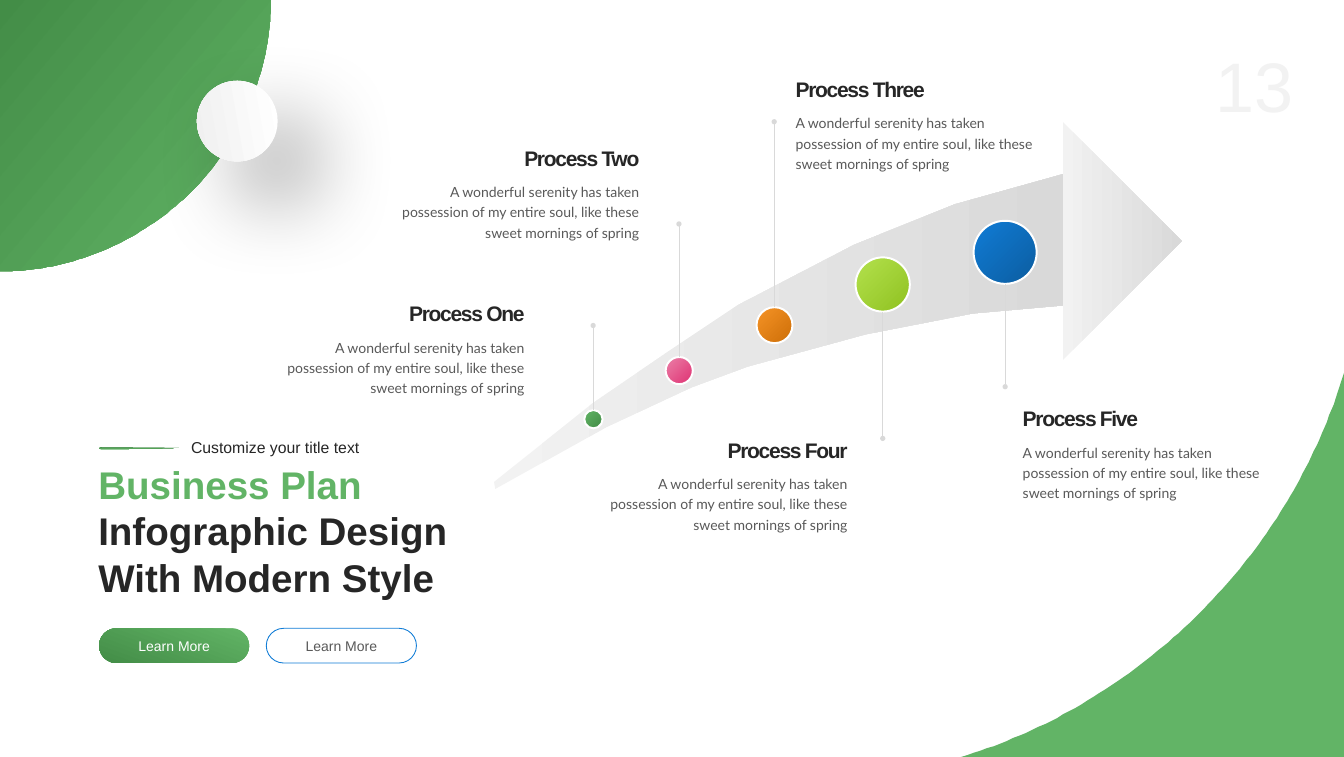
from lxml import etree
from pptx import Presentation, util as u
from pptx.dml.color import RGBColor
from pptx.enum import shapes as s, text as t
from pptx.oxml import ns

PX = 9144  # EMU per px, 100 px to the inch

WHITE = RGBColor(0xFF, 0xFF, 0xFF)
PALE = RGBColor(0xF2, 0xF2, 0xF2)
PEARL = RGBColor(0xF0, 0xF0, 0xF0)
SILVER = RGBColor(0xD9, 0xD9, 0xD9)
GRAY = RGBColor(0x59, 0x59, 0x59)
DARK = RGBColor(0x26, 0x26, 0x26)
GREEN = RGBColor(0x62, 0xB4, 0x66)
DEEP_GREEN = RGBColor(0x43, 0x8D, 0x47)
PINK = RGBColor(0xEB, 0x81, 0xA9)
DEEP_PINK = RGBColor(0xDF, 0x32, 0x73)
ORANGE = RGBColor(0xF6, 0x93, 0x26)
DEEP_ORANGE = RGBColor(0xCD, 0x6F, 0x08)
LIME = RGBColor(0xB3, 0xE1, 0x4D)
DEEP_LIME = RGBColor(0x90, 0xC2, 0x21)
BLUE = RGBColor(0x10, 0x7C, 0xD6)
DEEP_BLUE = RGBColor(0x0C, 0x5D, 0xA0)

LEFT, CENTER, RIGHT = t.PP_ALIGN.LEFT, t.PP_ALIGN.CENTER, t.PP_ALIGN.RIGHT
BODY = ("A wonderful serenity has taken possession of my entire soul, "
        "like these sweet mornings of spring")

# Circle left, top, size, light and dark colours, end of its stem
MILESTONES = [
    (926, 650, 29, GREEN, DEEP_GREEN, 516),
    (1055, 566, 43, PINK, DEEP_PINK, 355),
    (1199, 487, 57, ORANGE, DEEP_ORANGE, 193),
    (1356, 408, 86, LIME, DEEP_LIME, 695),
    (1543, 350, 100, BLUE, DEEP_BLUE, 613),
]
# Name, left and top of the text, alignment
PROCESSES = [
    ("Process One", 429, 472, RIGHT),
    ("Process Two", 611, 225, RIGHT),
    ("Process Three", 1251, 116, LEFT),
    ("Process Four", 941, 688, RIGHT),
    ("Process Five", 1611, 638, LEFT),
]

# Outlines: a pair is a corner, six numbers are a Bezier curve
CORNER_TOP = [(0, 430), (113, 430, 222, 384, 303, 304),
              (384, 223, 429, 113, 429, 0), (0, 0)]
CORNER_BOTTOM = [(2130, 591), (2130, 1200), (1523, 1200),
                 (1662, 1158, 1794, 1079, 1902, 971),
                 (1999, 874, 2072, 758, 2117, 631)]
ARROW_BODY = [(783, 764), (940, 639), (1054, 561), (1171, 483), (1354, 388),
              (1513, 324), (1685, 276), (1687, 484), (1541, 497), (1372, 530),
              (1185, 581), (1096, 614), (961, 677), (785, 775)]
ARROW_HEAD = [(1684, 571), (1684, 193), (1873, 382)]
DASH = [(157, 710), (160, 709), (284, 710), (195, 712), (160, 712)]


def paint(fill, colors, angle=0, start=0):
    """Fill with one colour, or with two along a clockwise angle."""
    if isinstance(colors, RGBColor):
        fill.solid()
        fill.fore_color.rgb = colors
        return
    fill.gradient()
    fill.gradient_angle = -angle % 360
    for stop, color, position in zip(fill.gradient_stops, colors, (start, 1)):
        stop.color.rgb = color
        stop.position = position


def flatten(outline, steps=40):
    points = []
    for node in outline:
        if len(node) == 2:
            points.append(node)
            continue
        curve = [points[-1], node[:2], node[2:4], node[4:]]
        for step in range(1, steps + 1):
            b = step / steps
            a = 1 - b
            weights = (a ** 3, 3 * a * a * b, 3 * a * b * b, b ** 3)
            points.append(tuple(sum(w * p[axis] for w, p in zip(weights, curve))
                                for axis in (0, 1)))
    return points


def add_outline(page, outline, colors, angle=0, start=0):
    points = flatten(outline)
    builder = page.shapes.build_freeform(*points[0], scale=PX)
    builder.add_line_segments(points[1:], close=True)
    shape = builder.convert_to_shape()
    shape.shadow.inherit = False
    paint(shape.fill, colors, angle, start)
    shape.line.fill.background()


def add_preset(page, kind, box, colors, angle=0, line=None, weight=1):
    shape = page.shapes.add_shape(kind, *(PX * side for side in box))
    shape.shadow.inherit = False
    paint(shape.fill, colors, angle)
    if line is None:
        shape.line.fill.background()
    else:
        shape.line.color.rgb = line
        shape.line.width = u.Pt(weight)
    return shape


def style(font, size, color, name="Arial", bold=False):
    font.size, font.name, font.bold = u.Pt(size), name, bold
    font.color.rgb = color


def add_text(page, box, words, size, color, name="Arial", bold=False, align=LEFT):
    frame = page.shapes.add_textbox(*(PX * side for side in box)).text_frame
    frame.word_wrap = True
    frame.auto_size = t.MSO_AUTO_SIZE.SHAPE_TO_FIT_TEXT
    para = frame.paragraphs[0]
    para.alignment = align
    para.add_run().text = words
    style(para.font, size, color, name, bold)
    return para


def add_process(page, name, left, top, align):
    heading = add_text(page, (left, top, 412, 50), name, 24, DARK, bold=True, align=align)
    heading.runs[0].font._element.set("spc", "-150")
    body = add_text(page, (left, top + 56, 412, 104), BODY, 16, GRAY, "Lato", align=align)
    body.line_spacing = 1.2


def add_stem(page, x, start, end):
    stem = page.shapes.add_connector(s.MSO_CONNECTOR.STRAIGHT,
                                     x * PX, start * PX, x * PX, end * PX)
    stem.line.color.rgb = SILVER
    stem.line.width = u.Pt(0.75)
    etree.SubElement(stem.line._get_or_add_ln(), ns.qn("a:tailEnd"), type="oval")
    etree.SubElement(stem._element.spPr, ns.qn("a:effectLst"))


def add_milestone(page, left, top, size, light, dark, end):
    add_preset(page, s.MSO_SHAPE.OVAL, (left, top, size, size), (light, dark), 45,
               WHITE, 2.25)
    add_stem(page, left + size // 2, top if end < top else top + size, end)


def add_button(page, left, colors, color, line=None):
    button = add_preset(page, s.MSO_SHAPE.ROUNDED_RECTANGLE, (left, 996, 238, 55),
                        colors, 110, line)
    button.adjustments[0] = 0.5
    frame = button.text_frame
    frame.vertical_anchor = t.MSO_ANCHOR.MIDDLE
    para = frame.paragraphs[0]
    para.text = "Learn More"
    para.alignment = CENTER
    style(para.font, 16, color)


def add_soft_shadow(shape):
    effects = shape._element.spPr.find(ns.qn("a:effectLst"))
    shadow = etree.SubElement(effects, ns.qn("a:outerShdw"), blurRad=str(u.Pt(100)),
                              dist=str(u.Pt(64)), dir=str(45 * 60000),
                              algn="tl", rotWithShape="0")
    black = etree.SubElement(shadow, ns.qn("a:srgbClr"), val="000000")
    etree.SubElement(black, ns.qn("a:alpha"), val="40000")


def main():
    deck = Presentation()
    deck.slide_width, deck.slide_height = 2130 * PX, 1200 * PX
    page = deck.slides.add_slide(deck.slide_layouts[6])

    # Corners and page number
    add_text(page, (1760, 62, 300, 133), "13", 80, PALE, align=RIGHT)
    add_outline(page, CORNER_TOP, (GREEN, DEEP_GREEN), 220, 0.01)
    add_outline(page, CORNER_BOTTOM, GREEN)

    # Growing arrow with its milestones
    for outline in (ARROW_BODY, ARROW_HEAD):
        add_outline(page, outline, (PALE, SILVER))
    for milestone in MILESTONES:
        add_milestone(page, *milestone)
    for process in PROCESSES:
        add_process(page, *process)

    # Title block
    add_text(page, (293, 689, 367, 40), "Customize your title text", 18, DARK)
    add_outline(page, DASH, (DEEP_GREEN, GREEN), 90, 0.05)
    title = add_text(page, (146, 726, 626, 232), "Business Plan", 44, DARK, bold=True)
    paint(title.runs[0].font.fill, (GREEN, DEEP_GREEN), 140, 0.01)
    title.add_run().text = " Infographic Design With Modern Style"

    # Buttons
    add_button(page, 157, (GREEN, DEEP_GREEN), WHITE)
    add_button(page, 422, WHITE, GRAY, BLUE)

    # Floating ball
    ball = add_preset(page, s.MSO_SHAPE.OVAL, (312, 128, 128, 128), (WHITE, PEARL), 170)
    add_soft_shadow(ball)

    deck.save("out.pptx")


if __name__ == "__main__":
    main()
